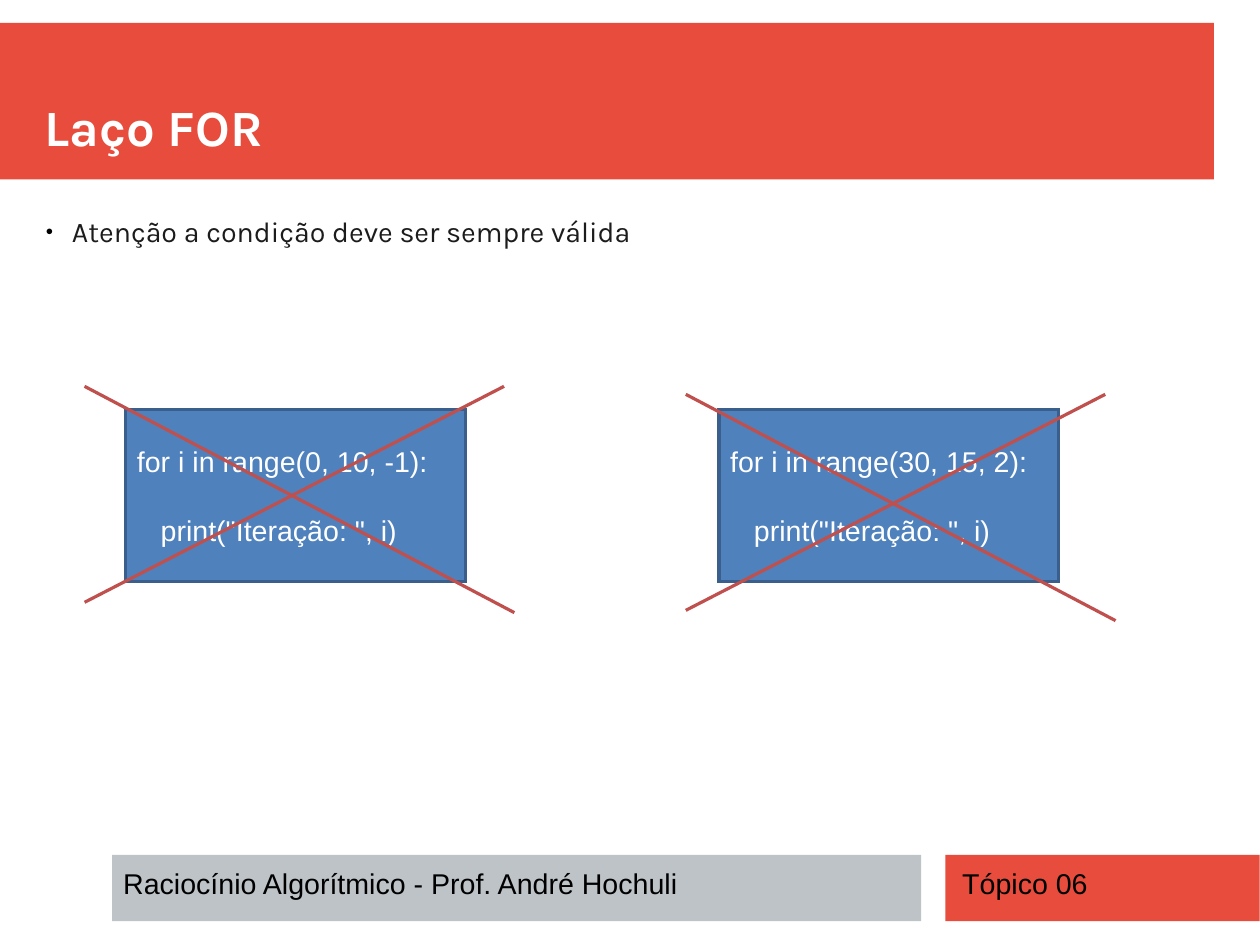
"""Build the slide that warns about invalid conditions in a FOR loop."""
from dataclasses import dataclass
from typing import Any

from lxml import etree
from pptx import Presentation
from pptx import util as u
from pptx.dml import color
from pptx.enum import shapes, text
from pptx.oxml import ns

RED, GREY, BLUE, NAVY, CROSS = "E74C3C", "BDC3C7", "4F81BD", "3A5F8C", "C0504D"
WHITE, BLACK, INK = "FFFFFF", "000000", "1C1C1C"


@dataclass(frozen=True)
class Area:
    left: float
    top: float
    width: float
    height: float

    def lengths(self) -> tuple[u.Length, ...]:
        return tuple(u.Inches(v) for v in (self.left, self.top, self.width, self.height))


@dataclass(frozen=True)
class Band:
    area: Area
    fill: str


@dataclass(frozen=True)
class Label:
    area: Area
    words: str


@dataclass(frozen=True)
class WrongLoop:
    box_left: float
    cross_left: float
    cross_top: float
    lines: tuple[str, str]


BANDS = (
    Band(Area(0, 0.2, 10.62, 1.37), RED),
    Band(Area(8.27, 7.48, 2.75, 0.58), RED),
    Band(Area(0.98, 7.48, 7.08, 0.58), GREY),
)
FOOTERS = (
    Label(Area(0.98, 7.53, 7.04, 0.39), "Raciocínio Algorítmico - Prof. André Hochuli"),
    Label(Area(8.32, 7.53, 2.49, 0.39), "Tópico 06"),
)
PRINT_LINE = '   print("Iteração: ", i)'
LOOPS = (
    WrongLoop(1.1, 0.74, 3.38, ("for i in range(0, 10, -1):", PRINT_LINE)),
    WrongLoop(6.29, 6, 3.45, ("for i in range(30, 15, 2):", PRINT_LINE)),
)


def rgb(value: str) -> color.RGBColor:
    return color.RGBColor.from_string(value)


def apply(target: Any, values: dict[str, Any]) -> None:
    for name, value in values.items():
        setattr(target, name, value)


def set_frame(box: Any, inset_x: float, inset_y: float, anchor: Any) -> None:
    apply(box.text_frame, {
        "word_wrap": True,
        "auto_size": text.MSO_AUTO_SIZE.NONE,
        "vertical_anchor": anchor,
        "margin_left": u.Inches(inset_x),
        "margin_right": u.Inches(inset_x),
        "margin_top": u.Inches(inset_y),
        "margin_bottom": u.Inches(inset_y),
    })


def write(para: Any, words: str, ink: str, face: str = "Arial",
          size: float = 18, bold: bool = False) -> None:
    span = para.add_run()
    span.text = words
    apply(span.font, {"name": face, "size": u.Pt(size), "bold": bold})
    span.font.color.rgb = rgb(ink)


def add_rectangle(page: Any, area: Area, fill: str) -> Any:
    box = page.shapes.add_shape(shapes.MSO_SHAPE.RECTANGLE, *area.lengths())
    box.shadow.inherit = False
    box.fill.solid()
    box.fill.fore_color.rgb = rgb(fill)
    box.line.fill.background()
    return box


def add_title(page: Any) -> None:
    title = page.shapes.title
    apply(title, dict(zip(("left", "top", "width", "height"),
                          Area(0.39, 0.39, 10.23, 0.98).lengths())))
    set_frame(title, 0, 0, text.MSO_ANCHOR.BOTTOM)
    para = title.text_frame.paragraphs[0]
    para.alignment = text.PP_ALIGN.LEFT
    write(para, "Laço FOR", WHITE, "Karla", 32, True)
    title.element.getparent().append(title.element)


def add_footer(page: Any, label: Label) -> None:
    box = page.shapes.add_textbox(*label.area.lengths())
    set_frame(box, 0.1, 0.05, text.MSO_ANCHOR.TOP)
    write(box.text_frame.paragraphs[0], label.words, BLACK)


def add_bullet(para: Any) -> None:
    properties = para._p.get_or_add_pPr()
    properties.set("marL", str(u.Inches(0.24)))
    properties.set("indent", str(u.Inches(-0.23)))
    tint = etree.SubElement(properties, ns.qn("a:buClr"))
    etree.SubElement(tint, ns.qn("a:srgbClr"), val=BLACK)
    etree.SubElement(properties, ns.qn("a:buSzPct"), val="45000")
    etree.SubElement(properties, ns.qn("a:buFont"), typeface="Arial")
    etree.SubElement(properties, ns.qn("a:buChar"), char="●")


def add_warning(page: Any) -> None:
    box = page.shapes.add_textbox(*Area(0.39, 1.87, 10.03, 5.11).lengths())
    set_frame(box, 0, 0, text.MSO_ANCHOR.TOP)
    para = box.text_frame.paragraphs[0]
    add_bullet(para)
    para.space_after = u.Pt(11.4)
    write(para, "Atenção a condição deve ser sempre válida", INK, "Karla")


def add_code(page: Any, loop: WrongLoop) -> None:
    box = add_rectangle(page, Area(loop.box_left, 3.58, 2.97, 1.51), BLUE)
    box.line.color.rgb = rgb(NAVY)
    box.line.width = u.Pt(2)
    outline = box.element.spPr.find(ns.qn("a:ln"))
    etree.SubElement(outline, ns.qn("a:miter"), lim="800000")
    set_frame(box, 0.1, 0.05, text.MSO_ANCHOR.MIDDLE)
    first = box.text_frame.paragraphs[0]
    second = box.text_frame.add_paragraph()
    second.space_before = u.Pt(22)
    for para, words in zip((first, second), loop.lines):
        para.alignment = text.PP_ALIGN.JUSTIFY
        write(para, words, WHITE)


def add_stroke(page: Any, start: tuple[float, float], end: tuple[float, float]) -> None:
    stroke = page.shapes.add_connector(
        shapes.MSO_CONNECTOR.STRAIGHT, *(u.Inches(v) for v in start + end))
    stroke.line.color.rgb = rgb(CROSS)
    stroke.line.width = u.Pt(2)
    etree.SubElement(stroke.element.spPr, ns.qn("a:effectLst"))


def add_cross(page: Any, left: float, top: float) -> None:
    add_stroke(page, (left, top), (left + 3.76, top + 1.98))
    add_stroke(page, (left, top + 1.89), (left + 3.67, top))


def main() -> None:
    deck = Presentation()
    deck.slide_width = u.Cm(28)
    deck.slide_height = u.Cm(21)
    page = deck.slides.add_slide(deck.slide_layouts.get_by_name("Title Only"))
    for band in BANDS:
        add_rectangle(page, band.area, band.fill)
    add_title(page)
    for label in FOOTERS:
        add_footer(page, label)
    add_warning(page)
    for loop in LOOPS:
        add_code(page, loop)
    for loop in LOOPS:
        add_cross(page, loop.cross_left, loop.cross_top)
    deck.save("out.pptx")


if __name__ == "__main__":
    main()
